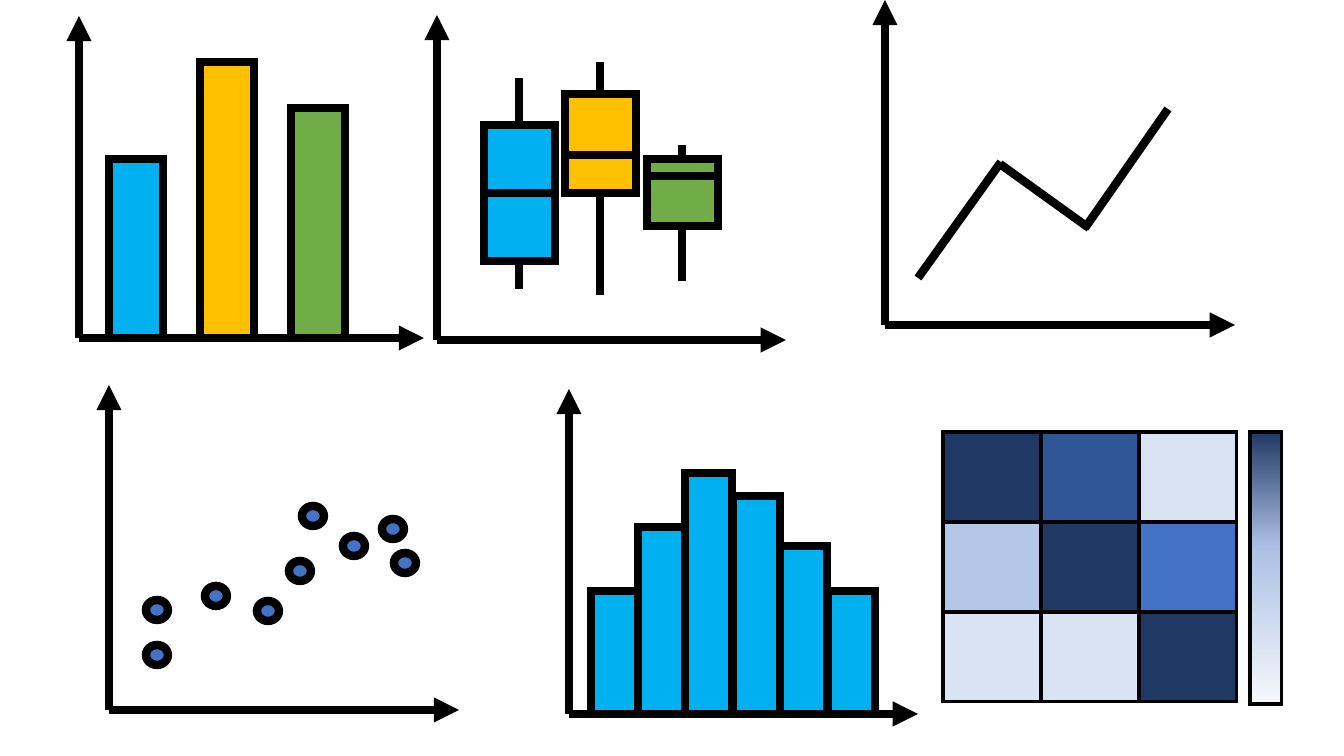
from copy import deepcopy
from typing import NamedTuple

from lxml import etree
from pptx import Presentation
from pptx import util as u
from pptx.dml.color import RGBColor
from pptx.enum import shapes
from pptx.oxml.ns import qn

PIXEL = 914400 / 100.8
BLACK, CYAN, AMBER, GREEN, BLUE = "000000", "00B0F0", "FFC000", "70AD47", "4472C4"
NAVY, DEEP, SOFT, PALE = "203864", "2F5597", "B4C7E7", "DAE3F3"
RECTANGLE = shapes.MSO_SHAPE.RECTANGLE
OVAL = shapes.MSO_SHAPE.OVAL
THICK, THIN = 6, 2.25


class Axes(NamedTuple):
    left: int
    bottom: int
    top: int
    right: int


class Bar(NamedTuple):
    left: int
    top: int
    color: str


class Box(NamedTuple):
    left: int
    top: int
    bottom: int
    median: int
    low: int
    high: int
    color: str


class Point(NamedTuple):
    x: int
    y: int


def px(value: int) -> u.Emu:
    return u.Emu(round(value * PIXEL))


def rgb(color: str) -> RGBColor:
    return RGBColor.from_string(color)


def style_line(line, weight: float) -> None:
    line.color.rgb = rgb(BLACK)
    line.width = u.Pt(weight)
    etree.SubElement(line._get_or_add_ln(), qn("a:miter"), lim="800000")


def add_figure(group, kind, left: int, top: int, width: int, height: int,
               color: str, weight: float = THICK):
    shape = group.shapes.add_shape(kind, px(left), px(top), px(width), px(height))
    shape.shadow.inherit = False
    shape.fill.solid()
    shape.fill.fore_color.rgb = rgb(color)
    style_line(shape.line, weight)
    return shape


def add_line(group, start: Point, end: Point, arrow: bool = False) -> None:
    connector = group.shapes.add_connector(
        shapes.MSO_CONNECTOR.STRAIGHT, *(px(value) for value in (*start, *end)))
    style_line(connector.line, THICK)
    if arrow:
        etree.SubElement(connector.line._get_or_add_ln(), qn("a:tailEnd"), type="triangle")
    etree.SubElement(connector._element.spPr, qn("a:effectLst"))


def add_axes(group, axes: Axes) -> None:
    origin = Point(axes.left, axes.bottom)
    add_line(group, origin, Point(axes.left, axes.top), arrow=True)
    add_line(group, origin, Point(axes.right, axes.bottom), arrow=True)


def add_bars(group, bars: list[Bar], width: int, bottom: int) -> None:
    for bar in bars:
        add_figure(group, RECTANGLE, bar.left, bar.top, width, bottom - bar.top, bar.color)


def add_box(group, box: Box, width: int = 71) -> None:
    add_figure(group, RECTANGLE, box.left, box.top, width, box.bottom - box.top, box.color)
    add_line(group, Point(box.left, box.median), Point(box.left + width, box.median))
    middle = box.left + width // 2
    add_line(group, Point(middle, box.high), Point(middle, box.top))
    add_line(group, Point(middle, box.bottom), Point(middle, box.low))


def set_gradient(shape, stops: list[tuple[float, str]]) -> None:
    shape.fill.gradient()
    shape.fill.gradient_angle = 270
    stop_list = shape._element.spPr.find(f".//{qn('a:gsLst')}")
    stop_list.insert(1, deepcopy(stop_list[0]))
    for stop, (position, color) in zip(shape.fill.gradient_stops, stops):
        stop.position = position
        stop.color.rgb = rgb(color)


presentation = Presentation()
presentation.slide_width, presentation.slide_height = px(1344), px(756)
slide = presentation.slides.add_slide(presentation.slide_layouts[6])

# Box plot
box_plot = slide.shapes.add_group_shape()
for box in (
    Box(484, 125, 261, 193, 289, 78, CYAN),
    Box(565, 94, 193, 155, 295, 62, AMBER),
    Box(647, 159, 226, 176, 281, 145, GREEN),
):
    add_box(box_plot, box)
add_axes(box_plot, Axes(437, 340, 15, 786))

# Bar chart
bar_chart = slide.shapes.add_group_shape()
bar_axes = Axes(79, 338, 16, 424)
add_axes(bar_chart, bar_axes)
add_bars(bar_chart, [Bar(109, 159, CYAN), Bar(200, 62, AMBER), Bar(291, 108, GREEN)],
         54, bar_axes.bottom)

# Scatter plot
scatter = slide.shapes.add_group_shape()
add_axes(scatter, Axes(109, 710, 385, 459))
for x, y in ((146, 645), (146, 600), (205, 586), (257, 601), (289, 561),
             (343, 536), (302, 506), (382, 519), (394, 553)):
    add_figure(scatter, OVAL, x, y, 22, 20, BLUE)

# Histogram
histogram = slide.shapes.add_group_shape()
histogram_axes = Axes(569, 714, 389, 918)
add_axes(histogram, histogram_axes)
bins = [Bar(591 + 237 * index // 5, top, CYAN)
        for index, top in enumerate((591, 527, 473, 496, 546, 591))]
add_bars(histogram, bins, 47, histogram_axes.bottom)

# Line chart
line_chart = slide.shapes.add_group_shape()
add_axes(line_chart, Axes(885, 325, 0, 1235))
for start, end in (
    (Point(918, 278), Point(1001, 162)),
    (Point(1089, 228), Point(1000, 164)),
    (Point(1168, 109), Point(1085, 228)),
):
    add_line(line_chart, start, end)

# Heat map with its colour scale
heat_map = slide.shapes.add_group_shape()
CELL_WIDTH, CELL_HEIGHT = 98, 90
for row, colors in enumerate(((NAVY, DEEP, PALE), (SOFT, NAVY, BLUE), (PALE, PALE, NAVY))):
    for column, color in enumerate(colors):
        add_figure(heat_map, RECTANGLE, 943 + column * CELL_WIDTH, 432 + row * CELL_HEIGHT,
                   CELL_WIDTH, CELL_HEIGHT, color, THIN)
color_scale = add_figure(heat_map, RECTANGLE, 1250, 432, 32, 272, NAVY, THIN)
set_gradient(color_scale, [(0, NAVY), (0.42, "ABC0E4"), (1, "F6F8FC")])

presentation.save("out.pptx")
